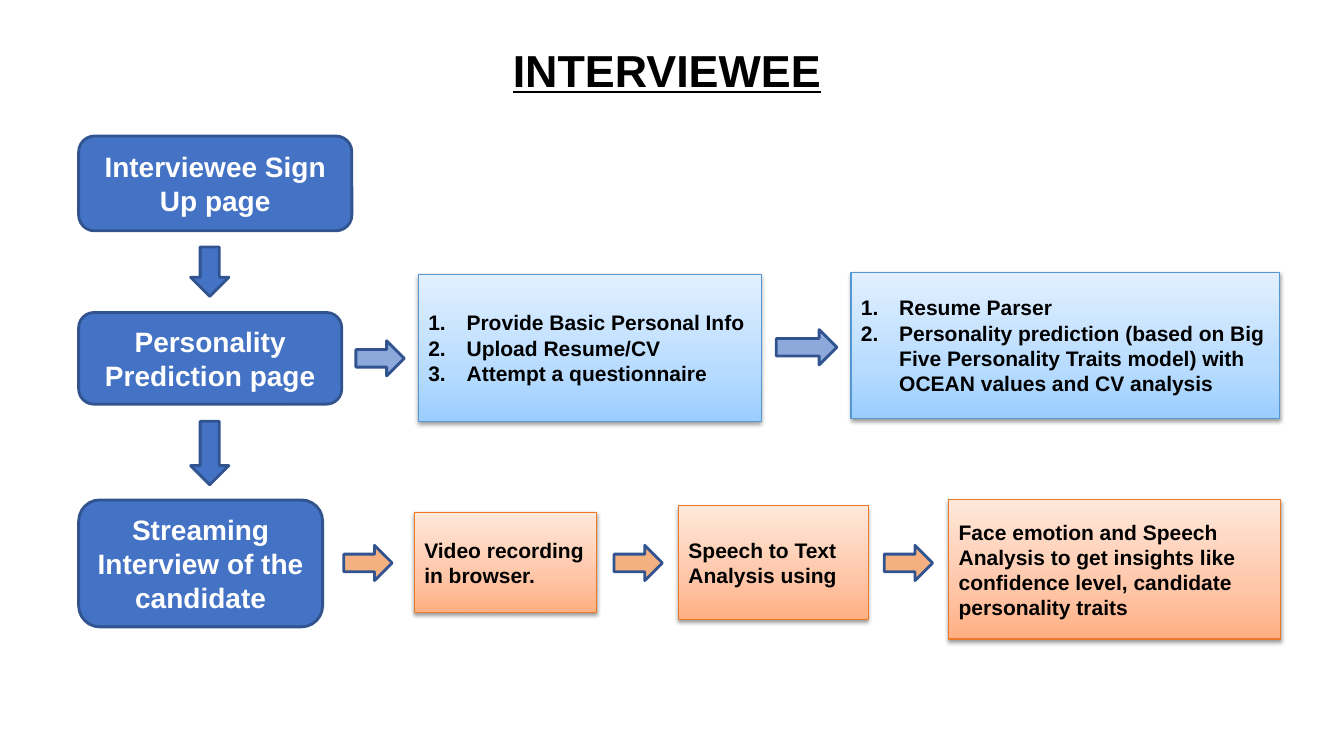
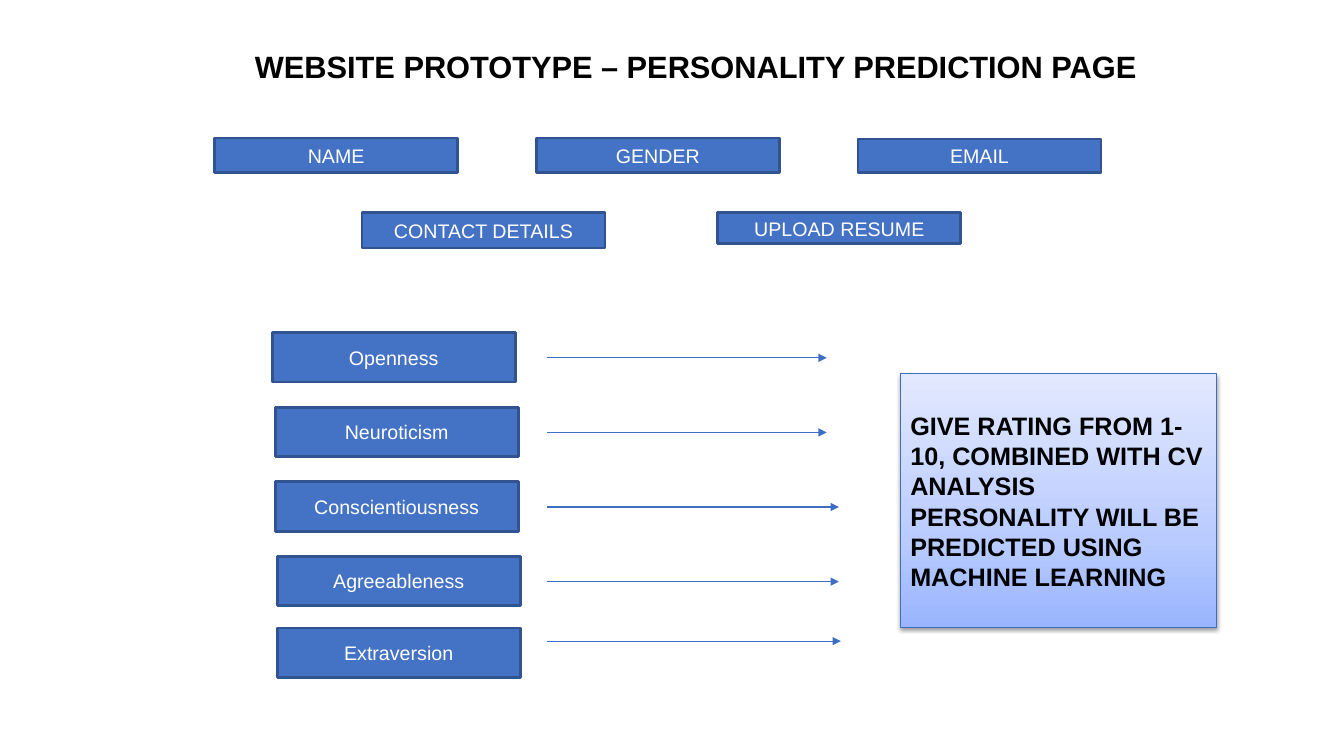
from copy import deepcopy

from lxml import etree
from pptx import Presentation
from pptx.dml.color import RGBColor
from pptx.enum import shapes, text
from pptx.oxml.ns import qn
from pptx.util import Inches, Pt

FONT = "Arial"
BLACK = RGBColor(0x00, 0x00, 0x00)
WHITE = RGBColor(0xFF, 0xFF, 0xFF)
BLUE = RGBColor(0x44, 0x72, 0xC4)
NAVY = RGBColor(0x31, 0x53, 0x8F)
LINK_BLUE = RGBColor(0x3E, 0x6E, 0xC2)
PALE_BLUE = RGBColor(0x8D, 0xA9, 0xDB)
PEACH = RGBColor(0xF4, 0xB0, 0x81)

# Panel style: outline, then gradient from bottom to top
SKY = (RGBColor(0x55, 0x97, 0xD3), RGBColor(0x9B, 0xCD, 0xFF),
       RGBColor(0xB8, 0xDC, 0xFF), RGBColor(0xE2, 0xF0, 0xFF))
ORANGE = (RGBColor(0xEB, 0x79, 0x2A), RGBColor(0xFF, 0xAF, 0x82),
          RGBColor(0xFF, 0xC5, 0xA7), RGBColor(0xFF, 0xE8, 0xDA))
PERIWINKLE = (LINK_BLUE, RGBColor(0x99, 0xB5, 0xFF),
              RGBColor(0xB9, 0xCB, 0xFF), RGBColor(0xE2, 0xE9, 0xFF))
GRADIENT_POSITIONS = (0, 0.35, 1)

SHAPE = shapes.MSO_SHAPE
ALIGN = text.PP_ALIGN
FIELD_WIDTH = 2.41


def inches(box):
    return [Inches(v) for v in box]


def write(shape, lines, size, color, bold=False, align=ALIGN.LEFT,
          anchor=text.MSO_ANCHOR.MIDDLE):
    tf = shape.text_frame
    tf.word_wrap = True
    tf.vertical_anchor = anchor
    for i, line in enumerate(lines):
        p = tf.add_paragraph() if i else tf.paragraphs[0]
        p.text = line
        p.alignment = align
        p.font.name = FONT
        p.font.size = Pt(size)
        p.font.bold = bold
        p.font.color.rgb = color
    return tf


def number(tf):
    """Turn the paragraphs into a numbered list with hanging indents."""
    for p in tf.paragraphs:
        pPr = p._p.get_or_add_pPr()
        pPr.set("marL", str(Inches(0.38)))
        pPr.set("indent", str(-Inches(0.38)))
        bullet = etree.Element(qn("a:buAutoNum"), type="arabicPeriod")
        pPr.insert(0, bullet)


def add_title(s, box, title, size, align=ALIGN.LEFT, underline=False):
    tb = s.shapes.add_textbox(*inches(box))
    tf = write(tb, [title], size, BLACK, True, align, text.MSO_ANCHOR.TOP)
    tf.paragraphs[0].font.underline = underline


def add_solid(s, kind, box, fill=BLUE):
    sp = s.shapes.add_shape(kind, *inches(box))
    sp.shadow.inherit = False
    sp.fill.solid()
    sp.fill.fore_color.rgb = fill
    sp.line.color.rgb = NAVY
    sp.line.width = Pt(2)
    return sp


def add_page(s, box, label):
    sp = add_solid(s, SHAPE.ROUNDED_RECTANGLE, box)
    write(sp, [label], 20, WHITE, True, ALIGN.CENTER)


def add_field(s, left, top, height, label):
    sp = add_solid(s, SHAPE.RECTANGLE, (left, top, FIELD_WIDTH, height))
    write(sp, [label], 14, WHITE, align=ALIGN.CENTER)


def add_panel(s, box, style, lines, size=15, numbered=False):
    """Add a gradient box with a soft shadow below it."""
    outline, *colors = style
    sp = s.shapes.add_shape(SHAPE.RECTANGLE, *inches(box))
    sp.fill.gradient()
    sp.fill.gradient_angle = 90
    spPr = sp._element.spPr
    stops = spPr.find(".//" + qn("a:gsLst"))
    stops.append(deepcopy(stops[-1]))
    for stop, pos, color in zip(sp.fill.gradient_stops, GRADIENT_POSITIONS, colors):
        stop.position = pos
        stop.color.rgb = color
    sp.line.color.rgb = outline
    sp.line.width = Pt(0.75)

    sp.shadow.inherit = False
    shadow = etree.SubElement(
        spPr.find(qn("a:effectLst")), qn("a:outerShdw"), blurRad=str(Pt(3.1)),
        dist=str(Pt(1.6)), dir="5400000", rotWithShape="0")
    tint = etree.SubElement(shadow, qn("a:srgbClr"), val="000000")
    etree.SubElement(tint, qn("a:alpha"), val="38000")

    tf = write(sp, lines, size, BLACK, True)
    if numbered:
        number(tf)


def add_link(s, left, right, y):
    line = s.shapes.add_connector(shapes.MSO_CONNECTOR.STRAIGHT,
                                  *inches((left, y, right, y)))
    line.line.color.rgb = LINK_BLUE
    line.line.width = Pt(0.75)
    ln = line.line._get_or_add_ln()
    etree.SubElement(ln, qn("a:tailEnd"), type="triangle")
    etree.SubElement(line._element.spPr, qn("a:effectLst"))


def add_page_column(s, left):
    pages = [(1.35, 2.71, 0.94, "Interviewee Sign Up page"),
             (3.1, 2.61, 0.91, "Personality Prediction page"),
             (4.96, 2.42, 1.26, "Streaming Interview of the candidate")]
    for top, width, height, label in pages:
        add_page(s, (left, top, width, height), label)
    for top, height in ((2.45, 0.49), (4.18, 0.63)):
        add_solid(s, SHAPE.DOWN_ARROW, (left + 1.11, top, 0.38, height))


def add_prediction_row(s):
    add_panel(s, (4.15, 2.72, 3.4, 1.46), SKY,
              ["Provide Basic Personal Info", "Upload Resume/CV",
               "Attempt a questionnaire"], numbered=True)
    add_panel(s, (8.44, 2.7, 4.25, 1.45), SKY,
              ["Resume Parser",
               "Personality prediction (based on Big Five Personality Traits "
               "model) with OCEAN values and CV analysis"], numbered=True)
    for box in ((3.53, 3.38, 0.48, 0.35), (7.7, 3.27, 0.6, 0.35)):
        add_solid(s, SHAPE.RIGHT_ARROW, box, PALE_BLUE)


def add_streaming_row(s, left, middle):
    """Place panels centred near one line, with an arrow before each."""
    steps = [((4.11, 5.08, 1.81, 1), "Video recording in browser."),
             ((6.73, 5.02, 1.88, 1.13), "Speech to Text Analysis using"),
             ((9.41, 4.96, 3.29, 1.38),
              "Face emotion and Speech Analysis to get insights like "
              "confidence level, candidate personality traits")]
    for i, (box, label) in enumerate(steps):
        add_panel(s, box, ORANGE, [label])
        arrow = (left + 2.68 * i, middle - 0.17, 0.48, 0.35)
        add_solid(s, SHAPE.RIGHT_ARROW, arrow, PEACH)


def add_form_fields(s):
    for left, top, height, label in [
            (2.13, 1.37, 0.34, "NAME"),
            (5.32, 1.37, 0.34, "GENDER"),
            (8.51, 1.38, 0.33, "EMAIL"),
            (3.59, 2.11, 0.35, "CONTACT DETAILS"),
            (7.12, 2.11, 0.31, "UPLOAD RESUME")]:
        add_field(s, left, top, height, label)


def add_traits(s, top, pitch):
    traits = [("Openness", 2.7, 8.2), ("Neuroticism", 2.73, 8.2),
              ("Conscientiousness", 2.73, 8.32), ("Agreeableness", 2.75, 8.32)]
    for i, (label, left, link_end) in enumerate(traits):
        y = top + pitch * i
        add_field(s, left, y, 0.49, label)
        add_link(s, 5.43, link_end, y + 0.25)
    add_field(s, 2.75, 6.23, 0.49, "Extraversion")
    add_link(s, 5.43, 8.34, 6.36)


def build_interviewee(s):
    add_title(s, (3.67, 0.37, 5.89, 0.64), "INTERVIEWEE", 32, ALIGN.CENTER, True)
    add_page_column(s, 0.78)
    add_prediction_row(s)
    add_streaming_row(s, 3.41, 5.58)


def build_prototype(s):
    add_title(s, (2.43, 0.42, 9.59, 0.47),
              "WEBSITE PROTOTYPE – PERSONALITY PREDICTION PAGE", 22)
    add_form_fields(s)
    add_traits(s, 3.3, 0.74)
    add_panel(s, (8.93, 3.71, 3.14, 2.52), PERIWINKLE,
              ["GIVE RATING FROM 1-10, COMBINED WITH CV ANALYSIS",
               "PERSONALITY WILL BE PREDICTED USING MACHINE LEARNING"], 18)


def main():
    prs = Presentation()
    prs.slide_width, prs.slide_height = Inches(13.33), Inches(7.5)
    for build in (build_interviewee, build_prototype):
        build(prs.slides.add_slide(prs.slide_layouts[6]))
    prs.save("out.pptx")


if __name__ == "__main__":
    main()
